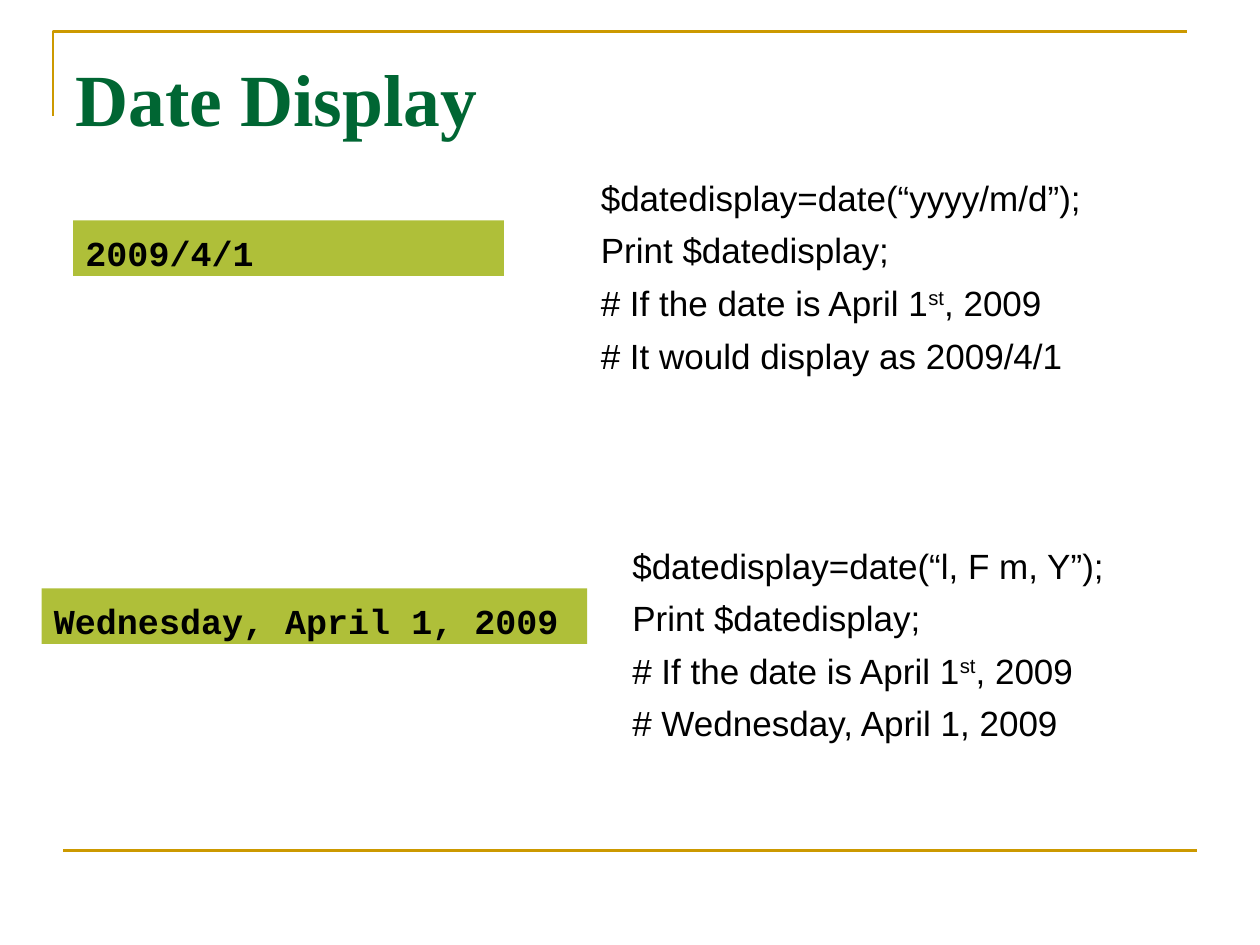
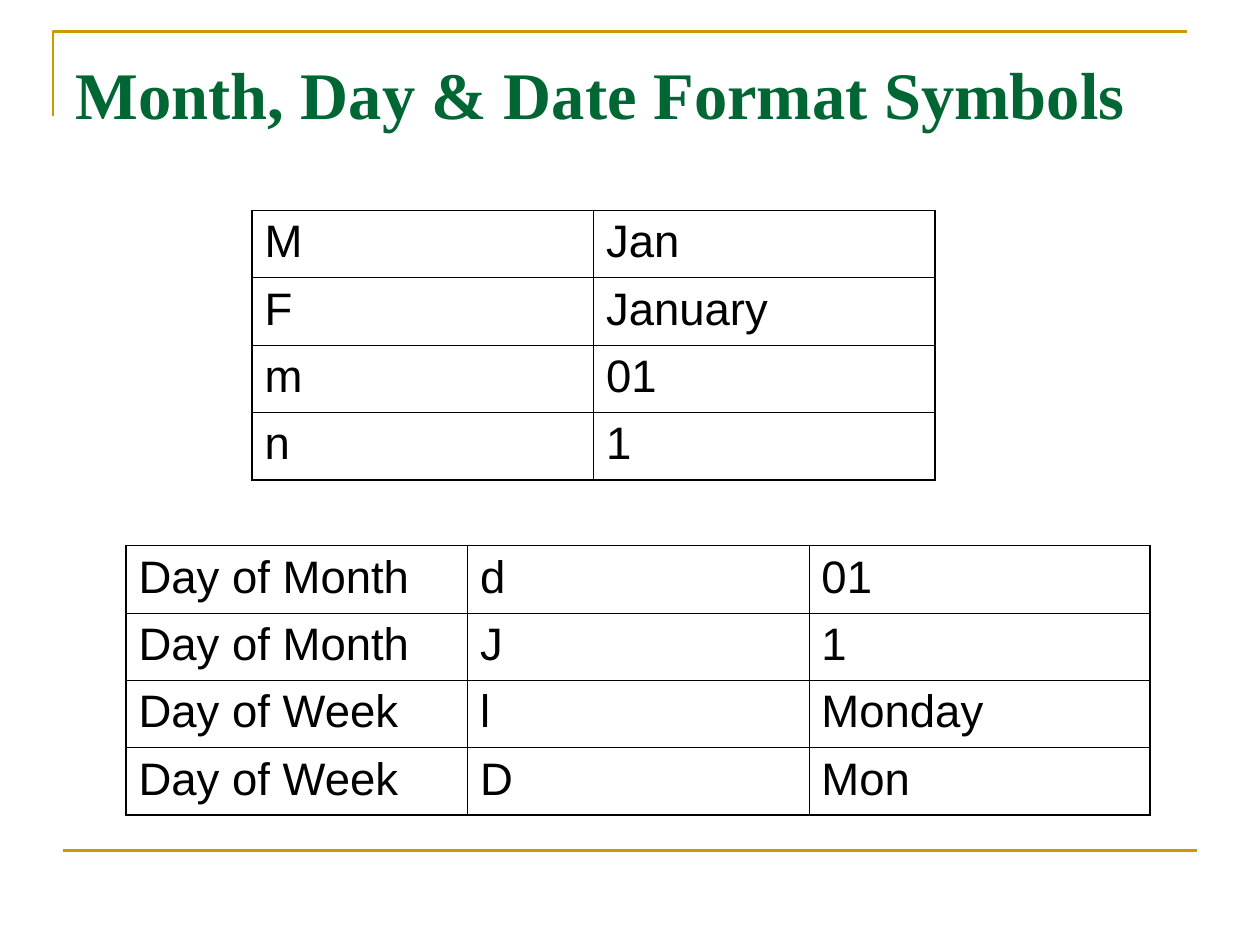
from lxml import etree
from pptx import Presentation
from pptx.dml.color import RGBColor
from pptx.enum.shapes import MSO_CONNECTOR, MSO_SHAPE
from pptx.enum.text import MSO_ANCHOR
from pptx.oxml.ns import qn
from pptx.util import Inches, Pt

GREEN = RGBColor(0x00, 0x66, 0x33)
GOLD = RGBColor(0xCC, 0x99, 0x00)
OLIVE = RGBColor(0xAF, 0xBF, 0x39)
BLACK = RGBColor(0x00, 0x00, 0x00)

TITLE = {"name": "Times New Roman", "size": Pt(42), "bold": True}
CODE = {"name": "Arial", "size": Pt(20)}
RESULT = {"name": "Courier New", "size": Pt(20), "bold": True}
CELL = {"name": "Arial", "size": Pt(26)}

COL_WIDTH = 2.71
TABLE_HEIGHT = 2.14
OUTER, INNER = Pt(1.08), Pt(0.45)

DATE_RUNS = ["# If the date is April 1", ("st", 30), ", 2009"]
MONTH_SYMBOLS = [("M", "Jan"), ("F", "January"), ("m", "01"), ("n", "1")]
DAY_SYMBOLS = [
    ("Day of Month", "d", "01"),
    ("Day of Month", "J", "1"),
    ("Day of Week", "l", "Monday"),
    ("Day of Week", "D", "Mon"),
]


def add_run(p, text, style, color=BLACK, raised=0):
    """Add a run; raised is the superscript offset in percent."""
    r = p.add_run()
    r.text = text
    for name, value in style.items():
        setattr(r.font, name, value)
    r.font.color.rgb = color
    if raised:
        r._r.get_or_add_rPr().set("baseline", str(raised * 1000))


def prepare_frame(sp, top_inset):
    tf = sp.text_frame
    settings = {
        "word_wrap": True,
        "vertical_anchor": MSO_ANCHOR.TOP,
        "margin_left": Inches(0.1),
        "margin_right": Inches(0.1),
        "margin_top": Inches(top_inset),
        "margin_bottom": 0,
    }
    for name, value in settings.items():
        setattr(tf, name, value)
    return tf


def add_text_box(s, left, top, width, height, top_inset):
    box = s.shapes.add_textbox(*map(Inches, (left, top, width, height)))
    return prepare_frame(box, top_inset)


def add_gold_rules(s):
    """Draw the corner rule at the top and the line above the footer."""
    builder = s.shapes.build_freeform(Inches(0.42), Inches(0.92))
    corner = [(0.42, 0.25), (9.42, 0.25)]
    builder.add_line_segments([(Inches(x), Inches(y)) for x, y in corner], close=False)
    bracket = builder.convert_to_shape()
    bracket.shadow.inherit = False
    bracket.fill.background()

    y = Inches(6.75)
    rule = s.shapes.add_connector(MSO_CONNECTOR.STRAIGHT, Inches(0.5), y, Inches(9.5), y)
    etree.SubElement(rule._element.spPr, qn("a:effectLst"))
    for sp in (bracket, rule):
        sp.line.color.rgb = GOLD
        sp.line.width = Pt(1.5)


def add_titled_slide(prs, title, size=TITLE["size"]):
    s = prs.slides.add_slide(prs.slide_layouts[6])
    add_gold_rules(s)
    tf = add_text_box(s, 0.5, 0.3, 9, 1.25, top_inset=0.12)
    add_run(tf.paragraphs[0], title, {**TITLE, "size": size}, GREEN)
    return s


def add_code(s, left, top, lines):
    """Add code lines; each line is a list of strings or (text, raised) pairs."""
    tf = add_text_box(s, left, top, 4.67, 1.92, top_inset=0.07)
    for i, line in enumerate(lines):
        p = tf.add_paragraph() if i else tf.paragraphs[0]
        if i:
            p.space_before = Pt(6)
        pPr = p._p.get_or_add_pPr()
        pPr.set("marL", str(Inches(0.38)))
        pPr.set("indent", str(-Inches(0.38)))
        for part in line:
            text, raised = part if isinstance(part, tuple) else (part, 0)
            add_run(p, text, CODE, raised=raised)


def add_result(s, left, top, width, text):
    sp = s.shapes.add_shape(
        MSO_SHAPE.RECTANGLE, *map(Inches, (left, top, width, 0.44))
    )
    sp.shadow.inherit = False
    sp.fill.solid()
    sp.fill.fore_color.rgb = OLIVE
    sp.line.fill.background()
    p = prepare_frame(sp, top_inset=0.09).paragraphs[0]
    p.alignment = 1
    add_run(p, text, RESULT)


def set_borders(cell, widths):
    """Set left, right, top and bottom border widths, in that order."""
    tcPr = cell._tc.get_or_add_tcPr()
    for side, width in zip("LRTB", widths):
        ln = etree.SubElement(tcPr, qn(f"a:ln{side}"), w=str(int(width)))
        fill = etree.SubElement(ln, qn("a:solidFill"))
        etree.SubElement(fill, qn("a:srgbClr"), val=str(BLACK))


def add_symbol_table(s, left, top, rows):
    last_row, last_col = len(rows) - 1, len(rows[0]) - 1
    size = (COL_WIDTH * len(rows[0]), TABLE_HEIGHT)
    frame = s.shapes.add_table(
        len(rows), len(rows[0]), *map(Inches, (left, top, *size))
    )
    table = frame.table
    table.first_row = table.horz_banding = False
    for i, row in enumerate(rows):
        for j, text in enumerate(row):
            cell = table.cell(i, j)
            on_edge = (j == 0, j == last_col, i == 0, i == last_row)
            set_borders(cell, [OUTER if edge else INNER for edge in on_edge])
            cell.fill.background()
            add_run(cell.text_frame.paragraphs[0], text, CELL)


def main():
    prs = Presentation()
    prs.slide_width, prs.slide_height = Inches(10), Inches(7.5)

    s = add_titled_slide(prs, "Date Display")
    add_code(s, 4.67, 1.33, [
        ["$datedisplay=date(“yyyy/m/d”);"],
        ["Print $datedisplay;"],
        DATE_RUNS,
        ["# It would display as 2009/4/1"],
    ])
    add_result(s, 0.58, 1.75, 3.42, "2009/4/1")
    add_code(s, 4.92, 4.25, [
        ["$datedisplay=date(“l, F m, Y”);"],
        ["Print $datedisplay;"],
        DATE_RUNS,
        ["# Wednesday, April 1, 2009"],
    ])
    add_result(s, 0.33, 4.67, 4.33, "Wednesday, April 1, 2009")

    s = add_titled_slide(prs, "Month, Day & Date Format Symbols", Pt(38))
    add_symbol_table(s, 2, 1.67, MONTH_SYMBOLS)
    add_symbol_table(s, 1, 4.33, DAY_SYMBOLS)

    prs.save("out.pptx")


if __name__ == "__main__":
    main()
